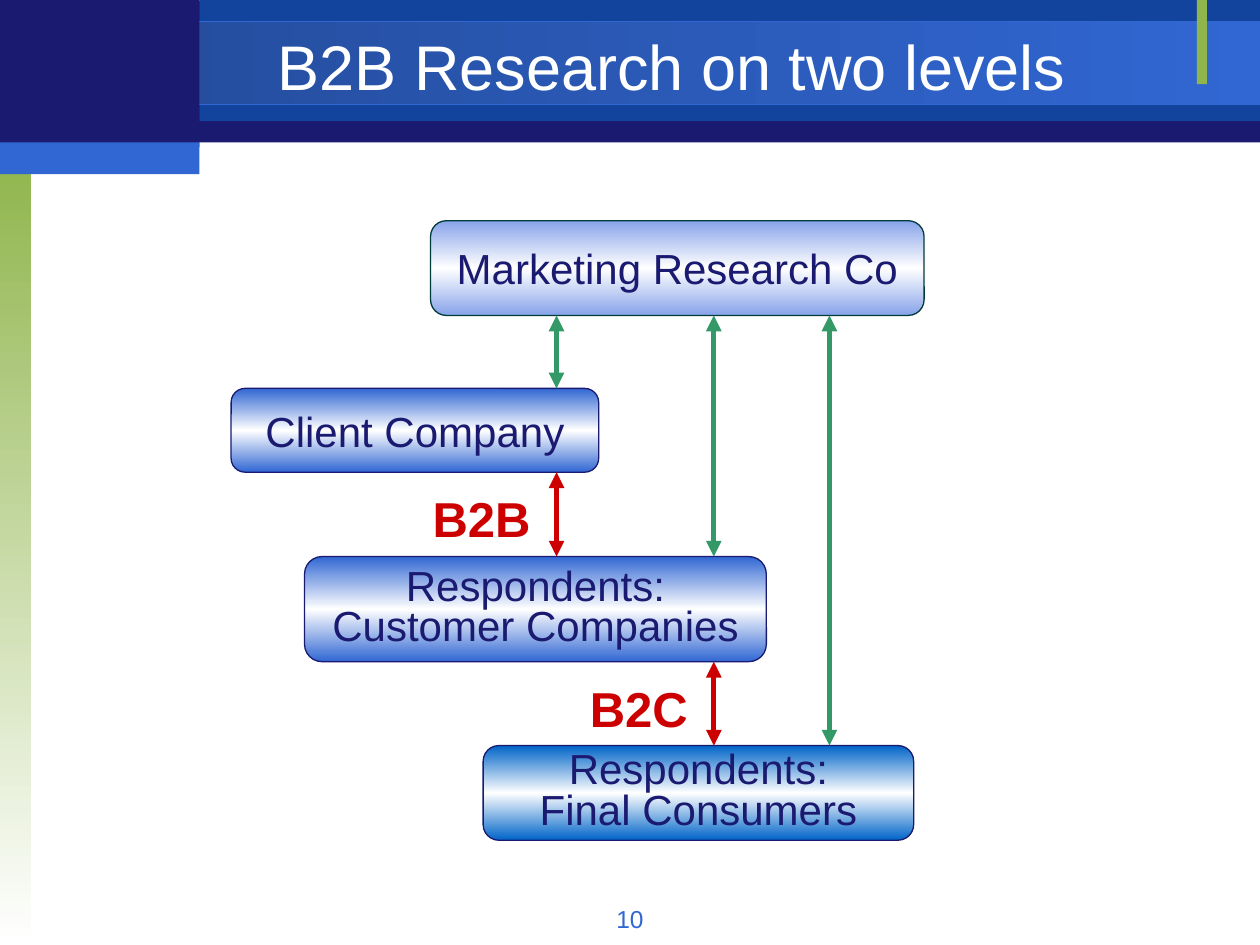
from lxml import etree
from pptx import Presentation
from pptx.dml.color import RGBColor
from pptx.enum.shapes import MSO_CONNECTOR as CONN, MSO_SHAPE as SHAPE
from pptx.enum.text import MSO_ANCHOR as ANCHOR, PP_ALIGN as ALIGN
from pptx.oxml import parse_xml
from pptx.oxml.ns import nsdecls, qn
from pptx.util import Cm, Pt

NAVY, BLUE, MID, GREEN = "1A1A70", "3167D3", "12449E", "90B54D"
TEAL, RED, WHITE = "339966", "CC0000", "FFFFFF"


def color(hex_):
    return RGBColor.from_string(hex_)


def gradient(sp, colors, angle):
    step = 100000 // (len(colors) - 1)
    stops = "".join(f'<a:gs pos="{i * step}"><a:srgbClr val="{c}"/></a:gs>'
                    for i, c in enumerate(colors))
    xml = (f'<a:gradFill {nsdecls("a")} rotWithShape="1"><a:gsLst>{stops}</a:gsLst>'
           f'<a:lin ang="{angle * 60000}" scaled="0"/></a:gradFill>')
    sp._element.spPr.find(qn("a:prstGeom")).addnext(parse_xml(xml))


def add_box(s, box, fill, line=None, angle=90, kind=SHAPE.RECTANGLE):
    """fill is one hex colour, or a list of them for a gradient."""
    sp = s.shapes.add_shape(kind, *map(Cm, box))
    sp.shadow.inherit = False
    if isinstance(fill, str):
        sp.fill.solid()
        sp.fill.fore_color.rgb = color(fill)
    else:
        gradient(sp, fill, angle)
    if line:
        sp.line.color.rgb = color(line)
        sp.line.width = Pt(0.75)
    else:
        sp.line.fill.background()
    return sp


def write(sp, lines, size, hex_, align=ALIGN.CENTER, anchor=ANCHOR.MIDDLE,
          bold=False, wrap=True):
    tf = sp.text_frame
    tf.word_wrap = wrap
    tf.vertical_anchor = anchor
    for i, text in enumerate(lines):
        p = tf.add_paragraph() if i else tf.paragraphs[0]
        p.alignment = align
        if len(lines) > 1:
            p.line_spacing = 0.8
        r = p.add_run()
        r.text = text
        r.font.name = "Arial"
        r.font.size = Pt(size)
        r.font.bold = bold
        r.font.color.rgb = color(hex_)


def add_text(s, box, text, size, hex_, **options):
    write(s.shapes.add_textbox(*map(Cm, box)), [text], size, hex_, **options)


def add_arrow(s, x, top, bottom, hex_):
    cn = s.shapes.add_connector(CONN.STRAIGHT, Cm(x), Cm(top), Cm(x), Cm(bottom))
    cn.line.color.rgb = color(hex_)
    cn.line.width = Pt(3)
    ln = cn.line._get_or_add_ln()
    for end in ("a:headEnd", "a:tailEnd"):
        etree.SubElement(ln, qn(end), type="triangle")
    etree.SubElement(cn._element.spPr, qn("a:effectLst"))


def header(s, x, y, w, h, corner=4.02):
    # Bands
    add_box(s, (x, y + 0.02, w, h - 0.02), NAVY)
    add_box(s, (x + corner, y, w - corner, 2.44), MID)
    add_box(s, (x, y + 0.43, w, 1.68), ["234A97", BLUE], BLUE, angle=0)
    add_box(s, (x + w - 1.27, y, 0.2, 1.7), GREEN)
    # Corner block
    add_box(s, (x, y, corner, h + 0.1), NAVY)
    add_box(s, (x, y + h, corner, 0.64), BLUE)
    add_text(s, (x + corner, y + 0.58, 19.05, 1.47),
             "B2B Research on two levels", 36, WHITE)


def diagram(s, x, y):
    # Boxes: left, top, width, height, end colour, outline, lines
    nodes = {
        "agency": (4.02, 0, 9.95, 1.91, "87A3E9", "003B3A",
                   ["Marketing Research Co"]),
        "client": (0, 3.38, 7.41, 1.69, BLUE, NAVY, ["Client Company"]),
        "customers": (1.48, 6.77, 9.31, 2.12, BLUE, NAVY,
                      ["Respondents:", "Customer Companies"]),
        "consumers": (5.08, 10.58, 8.68, 1.91, "0064C8", NAVY,
                      ["Respondents:", "Final Consumers"]),
    }
    for left, top, w, h, edge, line, lines in nodes.values():
        sp = add_box(s, (x + left, y + top, w, h), [edge, WHITE, edge], line,
                     kind=SHAPE.FLOWCHART_ALTERNATE_PROCESS)
        write(sp, lines, 24, NAVY, wrap=False)

    # Arrows run from the bottom of one box to the top of another
    links = [
        ("agency", "client", 6.56, TEAL, None),
        ("agency", "customers", 9.73, TEAL, None),
        ("agency", "consumers", 12.06, TEAL, None),
        ("client", "customers", 6.56, RED, "B2B"),
        ("customers", "consumers", 9.73, RED, "B2C"),
    ]
    for upper, lower, at, hex_, label in links:
        top = y + nodes[upper][1] + nodes[upper][3]
        add_arrow(s, x + at, top, y + nodes[lower][1], hex_)
        if label:
            add_text(s, (x + at - 2.75, top + 0.21, 2.54, 1.45), label, 28, hex_,
                     align=ALIGN.LEFT, anchor=ANCHOR.TOP, bold=True)


prs = Presentation()
prs.slide_width, prs.slide_height = Cm(25.4), Cm(19.05)
s = prs.slides.add_slide(prs.slide_layouts[6])

# Side bar, header, page number, diagram
add_box(s, (0, 3.18, 0.63, 15.87), [GREEN, WHITE])
header(s, 0, 0, 25.4, 2.87)
add_text(s, (8.68, 18.1, 8.04, 0.7), "10", 14, BLUE, anchor=ANCHOR.TOP)
diagram(s, 4.66, 4.45)

prs.save("out.pptx")
